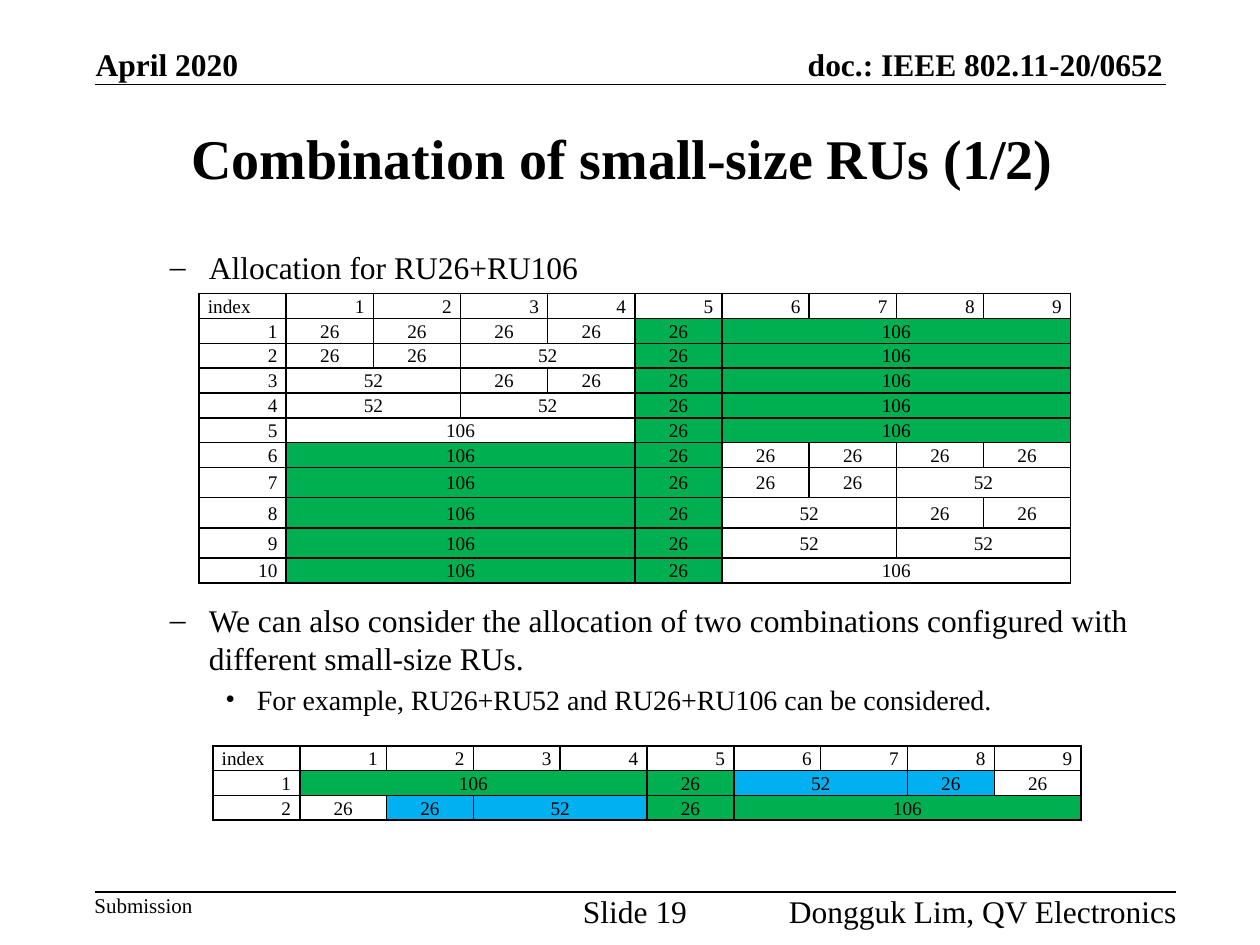
from typing import NamedTuple

from lxml import etree
from pptx import Presentation
from pptx.dml.color import RGBColor
from pptx.enum.shapes import MSO_CONNECTOR
from pptx.enum.text import MSO_ANCHOR, PP_ALIGN
from pptx.oxml.ns import qn
from pptx.util import Inches, Pt

FONT = "Times New Roman"
BLACK, GREEN, BLUE = "000000", "00B050", "00B0F0"
LEFT, CENTER, RIGHT = PP_ALIGN.LEFT, PP_ALIGN.CENTER, PP_ALIGN.RIGHT
TOP, MIDDLE, BOTTOM = MSO_ANCHOR.TOP, MSO_ANCHOR.MIDDLE, MSO_ANCHOR.BOTTOM
STRAIGHT = MSO_CONNECTOR.STRAIGHT
TONES = 9
TALL_ROWS, TALL_HEIGHT = (7, 8, 9), 0.24


class Label(NamedTuple):
    text: str
    left: float
    top: float
    width: float
    height: float
    size: int = 18
    bold: bool = False
    align: PP_ALIGN = LEFT
    anchor: MSO_ANCHOR = TOP


class Bullet(NamedTuple):
    text: str
    mark: str
    margin: float
    hanging: float
    size: int


class Unit(NamedTuple):
    """A resource unit: its label, the columns it covers and its fill."""
    text: str
    columns: int
    fill: str | None = None


def color(hex_code: str) -> RGBColor:
    return RGBColor.from_string(hex_code)


def style(paragraph, size: int, bold: bool = False) -> None:
    for span in paragraph.runs:
        span.font.name = FONT
        span.font.size = Pt(size)
        span.font.bold = bold
        span.font.color.rgb = color(BLACK)


def add_label(page, label: Label) -> None:
    box = page.shapes.add_textbox(*map(Inches, label[1:5]))
    frame = box.text_frame
    frame.word_wrap = True
    frame.margin_left = frame.margin_right = 0
    frame.margin_top = frame.margin_bottom = 0
    frame.vertical_anchor = label.anchor
    frame.text = label.text
    frame.paragraphs[0].alignment = label.align
    style(frame.paragraphs[0], label.size, label.bold)


def add_rule(page, left: float, right: float, top: float) -> None:
    line = page.shapes.add_connector(
        STRAIGHT, Inches(left), Inches(top), Inches(right), Inches(top))
    line.line.color.rgb = color(BLACK)
    line.line.width = Pt(1)
    etree.SubElement(line._element.spPr, qn("a:effectLst"))


def add_bullets(page, top: float, height: float, bullets: list[Bullet]) -> None:
    box = page.shapes.add_textbox(
        Inches(0.75), Inches(top), Inches(8.5), Inches(height))
    frame = box.text_frame
    frame.word_wrap = True
    for number, bullet in enumerate(bullets):
        paragraph = frame.add_paragraph() if number else frame.paragraphs[0]
        paragraph.text = bullet.text
        properties = paragraph._p.get_or_add_pPr()
        properties.set("marL", str(Inches(bullet.margin)))
        properties.set("indent", str(-Inches(bullet.hanging)))
        if number:
            paragraph.space_before = Pt(0.2 * bullet.size)
        etree.SubElement(properties, qn("a:buFont"), typeface=FONT)
        etree.SubElement(properties, qn("a:buChar"), char=bullet.mark)
        style(paragraph, bullet.size)


def add_borders(cell) -> None:
    properties = cell._tc.get_or_add_tcPr()
    for position, side in enumerate(("lnL", "lnR", "lnT", "lnB")):
        border = etree.Element(qn(f"a:{side}"), w=str(Pt(1)))
        fill = etree.SubElement(border, qn("a:solidFill"))
        etree.SubElement(fill, qn("a:srgbClr"), val=BLACK)
        properties.insert(position, border)


def fill_cell(cell, text: str, align: PP_ALIGN, fill: str | None = None) -> None:
    cell.margin_left = cell.margin_right = Inches(0.07)
    cell.margin_top = cell.margin_bottom = 0
    cell.vertical_anchor = MIDDLE
    cell.text = text
    paragraph = cell.text_frame.paragraphs[0]
    paragraph.alignment = align
    paragraph.line_spacing = 1.07
    style(paragraph, 11)
    if fill:
        cell.fill.solid()
        cell.fill.fore_color.rgb = color(fill)


def add_allocation(page, left: float, top: float, width: float, height: float,
                   rows: list[list[Unit]]):
    table = page.shapes.add_table(
        len(rows) + 1, TONES + 1,
        Inches(left), Inches(top), Inches(width), Inches(height)).table
    table.first_row = table.horz_banding = False
    for cell in table.iter_cells():
        cell.fill.background()
        add_borders(cell)

    fill_cell(table.cell(0, 0), "index", LEFT)
    for column in range(1, TONES + 1):
        fill_cell(table.cell(0, column), str(column), RIGHT)
    for row, units in enumerate(rows, start=1):
        fill_cell(table.cell(row, 0), str(row), RIGHT)
        column = 1
        for unit in units:
            cell = table.cell(row, column)
            if unit.columns > 1:
                cell.merge(table.cell(row, column + unit.columns - 1))
            fill_cell(cell, unit.text, CENTER, unit.fill)
            column += unit.columns
    return table


# Resource units
RU26, RU52, RU106 = Unit("26", 1), Unit("52", 2), Unit("106", 4)
GREEN26, GREEN106 = RU26._replace(fill=GREEN), RU106._replace(fill=GREEN)
BLUE26, BLUE52 = RU26._replace(fill=BLUE), RU52._replace(fill=BLUE)

# Free halves beside the green RU26+RU106 combination
HALVES = [[RU26] * 4, [RU26, RU26, RU52], [RU52, RU26, RU26],
          [RU52, RU52], [RU106]]
SINGLE_ROWS = ([half + [GREEN26, GREEN106] for half in HALVES]
               + [[GREEN106, GREEN26] + half for half in HALVES])
DOUBLE_ROWS = [[GREEN106, GREEN26, BLUE52, BLUE26, RU26],
               [RU26, BLUE26, BLUE52, GREEN26, GREEN106]]

LABELS = [
    Label("April 2020", 0.76, 0.36, 1.5, 0.3, bold=True, anchor=BOTTOM),
    Label("doc.: IEEE 802.11-20/0652", 5.88, 0.36, 3.35, 0.3, bold=True,
          align=RIGHT, anchor=BOTTOM),
    Label("Combination of small-size RUs (1/2)", 0.75, 0.75, 8.38, 1, 32, True,
          CENTER, MIDDLE),
    Label("Submission", 0.75, 7.08, 1, 0.2, 12),
    Label("Slide 19", 4.54, 7.08, 1, 0.3, align=CENTER),
    Label("Dongguk Lim, QV Electronics", 6.04, 7.08, 3.3, 0.3, align=RIGHT),
]


def main() -> None:
    deck = Presentation()
    deck.slide_width, deck.slide_height = Inches(10), Inches(7.5)
    page = deck.slides.add_slide(deck.slide_layouts[6])

    # Header, title and footer
    add_rule(page, 0.75, 9.25, 0.67)
    add_rule(page, 0.75, 9.33, 7.08)
    for label in LABELS:
        add_label(page, label)

    # Single combination
    add_bullets(page, 1.92, 0.4, [
        Bullet("Allocation for RU26+RU106", "–", 0.81, 0.31, 18)])
    table = add_allocation(page, 1.58, 2.33, 6.92, 2.17, SINGLE_ROWS)
    for row in TALL_ROWS:
        table.rows[row].height = Inches(TALL_HEIGHT)

    # Two combinations
    add_bullets(page, 4.72, 1.05, [
        Bullet("We can also consider the allocation of two combinations "
               "configured with different small-size RUs.", "–", 0.81, 0.31, 18),
        Bullet("For example, RU26+RU52 and RU26+RU106 can be considered.",
               "•", 1.19, 0.25, 16)])
    add_allocation(page, 1.69, 5.92, 6.89, 0.54, DOUBLE_ROWS)

    deck.save("out.pptx")


if __name__ == "__main__":
    main()
